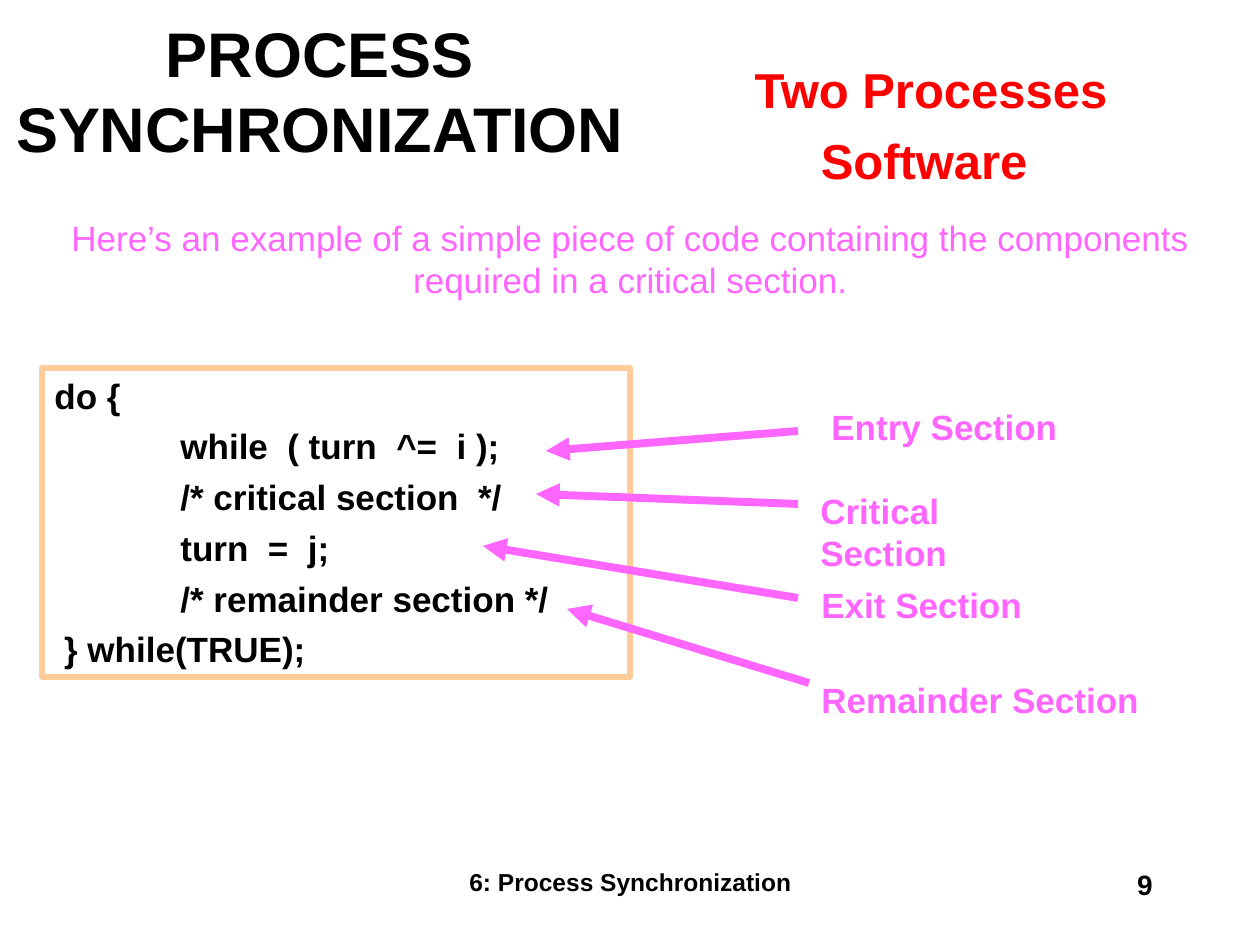
"""Build the slide on a two-process critical section example."""
from lxml.etree import SubElement
from pptx import Presentation
from pptx.dml.color import RGBColor
from pptx.enum.shapes import MSO_CONNECTOR, MSO_SHAPE
from pptx.enum.text import MSO_ANCHOR, PP_ALIGN
from pptx.oxml.ns import qn
from pptx.util import Inches, Pt

SCALE = Inches(1) // 126
BLACK = RGBColor(0x00, 0x00, 0x00)
RED = RGBColor(0xFF, 0x00, 0x00)
PINK = RGBColor(0xFF, 0x66, 0xFF)
PEACH = RGBColor(0xFF, 0xCC, 0x99)

TITLE = "PROCESS SYNCHRONIZATION"
TOPIC = ["Two Processes", "Software "]
INTRO = ("Here’s an example of a simple piece of code containing "
         "the components required in a critical section.")
CODE = [
    "do {",
    "\twhile  ( turn  ^=  i );",
    "\t/* critical section  */",
    "\tturn  =  j;",
    "\t/* remainder section */",
    " } while(TRUE);",
]
SECTIONS = [
    ("Entry Section", (819, 399, 251, 55), (798, 431), (546, 451)),
    ("Critical Section", (808, 483, 280, 55), (798, 504), (536, 494)),
    ("Exit Section", (809, 577, 226, 55), (798, 598), (483, 546)),
    ("Remainder Section", (809, 672, 343, 55), (809, 683), (567, 609)),
]
FOOTER = "6: Process Synchronization"
PAGE_NUMBER = "9"


def px(*lengths):
    return [length * SCALE for length in lengths]


def write(shape, lines, size, color, bold=True, align=PP_ALIGN.LEFT,
          before=0, wrap=True, anchor=MSO_ANCHOR.TOP):
    frame = shape.text_frame
    frame.word_wrap = wrap
    frame.vertical_anchor = anchor
    for index, line in enumerate(lines):
        paragraph = frame.add_paragraph() if index else frame.paragraphs[0]
        paragraph.alignment = align
        paragraph.space_before = Pt(before)
        run = paragraph.add_run()
        run.text = line
        run.font.name = "Arial"
        run.font.size = Pt(size)
        run.font.bold = bold
        run.font.color.rgb = color


def add_text(slide, box, lines, size, color, **style):
    shape = slide.shapes.add_textbox(*px(*box))
    write(shape, lines, size, color, **style)


def add_code(slide, box):
    shape = slide.shapes.add_shape(MSO_SHAPE.RECTANGLE, *px(*box))
    shape.shadow.inherit = False
    shape.fill.background()
    shape.line.color.rgb = PEACH
    shape.line.width = Pt(3)
    write(shape, CODE, 20, BLACK, before=5)
    for paragraph in shape.text_frame.paragraphs:
        tabs = SubElement(paragraph._p.get_or_add_pPr(), qn("a:tabLst"))
        SubElement(tabs, qn("a:tab"), pos=str(Inches(1)), algn="l")


def add_arrow(slide, start, end):
    arrow = slide.shapes.add_connector(
        MSO_CONNECTOR.STRAIGHT, *px(*start, *end))
    arrow.line.color.rgb = PINK
    arrow.line.width = Pt(4.5)
    SubElement(arrow.line._get_or_add_ln(), qn("a:tailEnd"), type="triangle")
    SubElement(arrow._element.spPr, qn("a:effectLst"))


def main():
    presentation = Presentation()
    presentation.slide_width = Inches(10)
    presentation.slide_height = Inches(7.5)
    slide = presentation.slides.add_slide(presentation.slide_layouts[5])

    title = slide.shapes.title
    title.left, title.top, title.width, title.height = px(0, 32, 640, 116)
    write(title, [TITLE], 36, BLACK, align=PP_ALIGN.CENTER,
          anchor=MSO_ANCHOR.MIDDLE)

    add_code(slide, (42, 368, 588, 309))
    add_text(slide, (740, 53, 382, 142), TOPIC, 28, RED,
             align=PP_ALIGN.CENTER, before=7, wrap=False)
    add_text(slide, (53, 210, 1155, 105), [INTRO], 20, PINK, bold=False,
             align=PP_ALIGN.CENTER, before=5)
    for label, box, start, end in SECTIONS:
        add_text(slide, box, [label], 20, PINK, before=5, wrap=False)
        add_arrow(slide, start, end)
    add_text(slide, (431, 861, 399, 63), [FOOTER], 14, BLACK,
             align=PP_ALIGN.CENTER)
    add_text(slide, (903, 861, 262, 63), [PAGE_NUMBER], 16, BLACK,
             align=PP_ALIGN.RIGHT)

    presentation.save("out.pptx")


if __name__ == "__main__":
    main()
